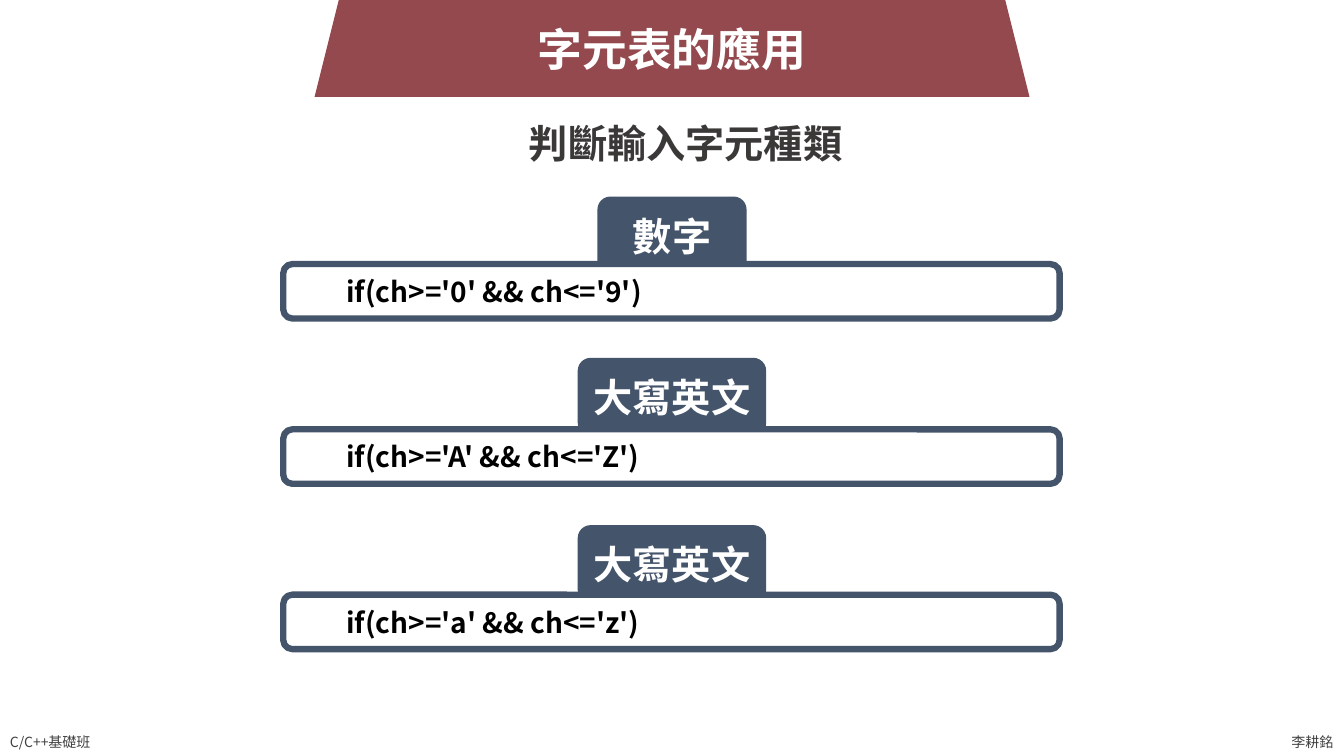
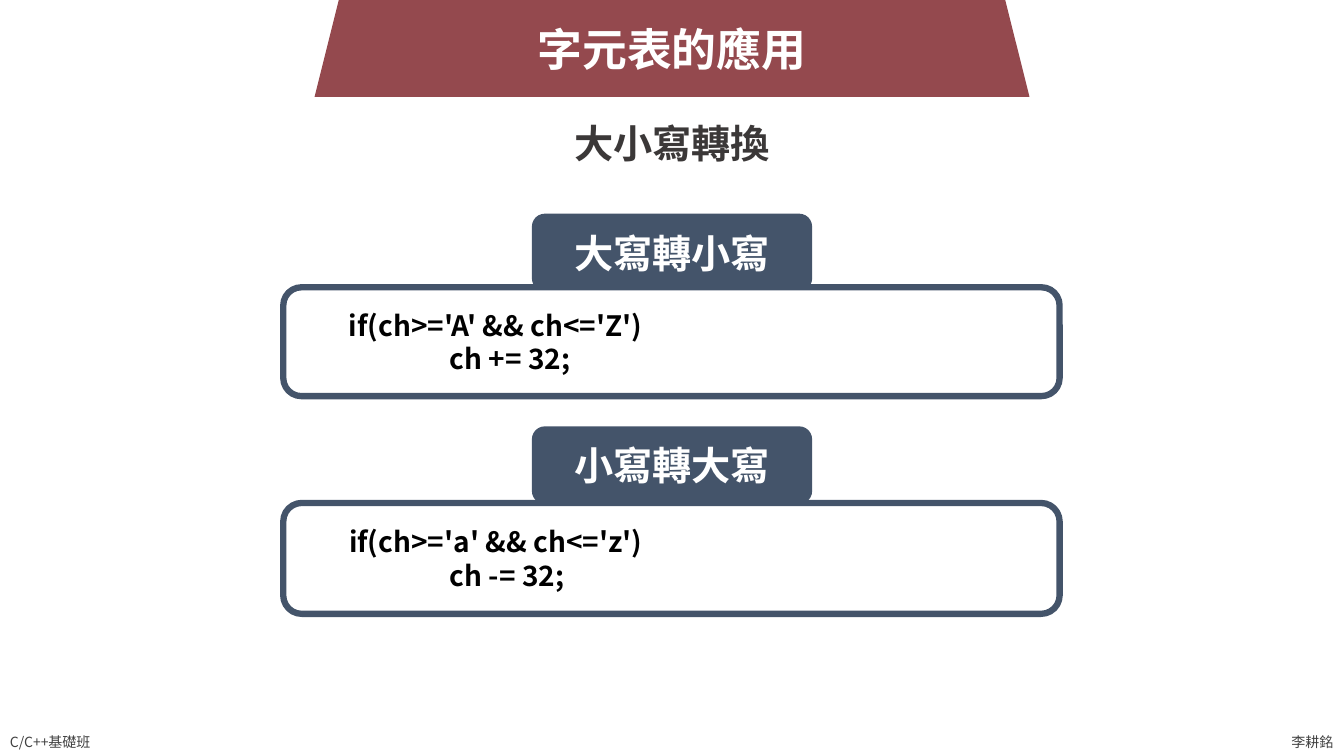
from dataclasses import dataclass

from lxml import etree
from pptx import Presentation
from pptx.dml.color import RGBColor
from pptx.enum.shapes import MSO_SHAPE
from pptx.enum.text import MSO_ANCHOR, PP_ALIGN
from pptx.oxml.ns import qn
from pptx.shapes.autoshape import Shape
from pptx.slide import Slide
from pptx.text.text import _Paragraph
from pptx.util import Inches, Pt

ROUND = MSO_SHAPE.ROUNDED_RECTANGLE
TRAPEZOID = MSO_SHAPE.TRAPEZOID
MIDDLE = MSO_ANCHOR.MIDDLE
LEFT = PP_ALIGN.LEFT
CENTER = PP_ALIGN.CENTER

RED = RGBColor(0x94, 0x49, 0x4E)
NAVY = RGBColor(0x44, 0x54, 0x6A)
WHITE = RGBColor(0xFF, 0xFF, 0xFF)
BLACK = RGBColor(0x00, 0x00, 0x00)
DARK = RGBColor(0x3B, 0x38, 0x38)
GRAY = RGBColor(0x40, 0x40, 0x40)

FONT = "Noto Sans CJK TC"
CODE_FONT = "Noto Sans CJK SC"
WIDTH, HEIGHT = 13.33, 7.5
BOX_LEFT, BOX_WIDTH = 2.81, 7.7
TAB_HEIGHT = 0.77


@dataclass(frozen=True)
class Style:
    size: int
    color: RGBColor
    bold: bool = True
    font: str = FONT
    align: PP_ALIGN = CENTER


TITLE = Style(32, WHITE)
SUBTITLE = Style(28, DARK)
LABEL = Style(28, WHITE)
CODE = Style(20, BLACK, font=CODE_FONT, align=LEFT)
FOOTER = Style(10, GRAY, bold=False, align=LEFT)


@dataclass(frozen=True)
class Line:
    text: str
    indent: float = 0.5


@dataclass(frozen=True)
class Panel:
    """A labelled tab standing on a box of code."""
    label: str
    tab_top: float
    tab_width: float
    box_top: float
    box_height: float
    lines: tuple[Line, ...]


@dataclass(frozen=True)
class Page:
    subtitle: str
    center: float
    panels: tuple[Panel, ...]


PAGES = (
    Page("判斷輸入字元種類", 6.8, (
        Panel("數字", 1.95, 1.48, 2.62, 0.54,
              (Line("if(ch>='0' && ch<='9')"),)),
        Panel("大寫英文", 3.55, 1.87, 4.26, 0.54,
              (Line("if(ch>='A' && ch<='Z')"),)),
        Panel("大寫英文", 5.21, 1.87, 5.9, 0.54,
              (Line("if(ch>='a' && ch<='z')"),)),
    )),
    Page("大小寫轉換", WIDTH / 2, (
        Panel("大寫轉小寫", 2.12, 2.78, 2.85, 1.08,
              (Line("if(ch>='A' && ch<='Z')"), Line("ch += 32;", 1.5))),
        Panel("小寫轉大寫", 4.23, 2.78, 4.99, 1.1,
              (Line("if(ch>='a' && ch<='z')"), Line("ch -= 32;", 1.5))),
    )),
)


def write(para: _Paragraph, text: str, style: Style) -> None:
    para.alignment = style.align
    run = para.add_run()
    run.text = text
    font = run.font
    font.name = style.font
    font.size = Pt(style.size)
    font.bold = style.bold
    font.color.rgb = style.color
    # East Asian characters take their typeface from a:ea.
    east = etree.SubElement(run._r.get_or_add_rPr(), qn("a:ea"))
    east.set("typeface", style.font)


def add_text(slide: Slide, text: str, left: float, top: float,
             width: float, height: float, style: Style,
             wrap: bool = True) -> None:
    box = slide.shapes.add_textbox(
        Inches(left), Inches(top), Inches(width), Inches(height))
    box.text_frame.word_wrap = wrap
    write(box.text_frame.paragraphs[0], text, style)


def add_block(slide: Slide, kind: MSO_SHAPE, left: float, top: float,
              width: float, height: float, fill: RGBColor) -> Shape:
    """Add a filled shape without outline or shadow."""
    block = slide.shapes.add_shape(
        kind, Inches(left), Inches(top), Inches(width), Inches(height))
    block.shadow.inherit = False
    block.fill.solid()
    block.fill.fore_color.rgb = fill
    block.line.fill.background()
    return block


def add_frame(slide: Slide) -> None:
    """Add the banner, title and footers that all slides share."""
    add_block(slide, TRAPEZOID, 3.12, -0.26, 7.09, 1.22, RED)
    add_text(slide, "字元表的應用", 5.22, 0.17, 2.89, 0.64, TITLE, wrap=False)
    add_text(slide, "C/C++基礎班", 0, 7.23, 1.07, 0.27, FOOTER, wrap=False)
    add_text(slide, "李耕銘", 12.71, 7.23, 0.62, 0.27, FOOTER, wrap=False)


def add_panel(slide: Slide, panel: Panel) -> None:
    tab = add_block(slide, ROUND, (WIDTH - panel.tab_width) / 2,
                    panel.tab_top, panel.tab_width, TAB_HEIGHT, NAVY)
    frame = tab.text_frame
    frame.margin_left = frame.margin_right = Inches(0)
    frame.vertical_anchor = MIDDLE
    write(frame.paragraphs[0], panel.label, LABEL)

    box = add_block(slide, ROUND, BOX_LEFT, panel.box_top,
                    BOX_WIDTH, panel.box_height, WHITE)
    box.line.color.rgb = NAVY
    box.line.width = Pt(4.5)
    frame = box.text_frame
    frame.vertical_anchor = MIDDLE
    for i, line in enumerate(panel.lines):
        para = frame.add_paragraph() if i else frame.paragraphs[0]
        write(para, line.text, CODE)
        para._p.get_or_add_pPr().set("marL", str(Inches(line.indent)))


def main() -> None:
    deck = Presentation()
    deck.slide_width = Inches(WIDTH)
    deck.slide_height = Inches(HEIGHT)
    for page in PAGES:
        slide = deck.slides.add_slide(deck.slide_layouts[6])
        add_frame(slide)
        width = 3.41
        add_text(slide, page.subtitle, page.center - width / 2, 1.13,
                 width, 0.57, SUBTITLE)
        for panel in page.panels:
            add_panel(slide, panel)
    deck.save("out.pptx")


if __name__ == "__main__":
    main()
